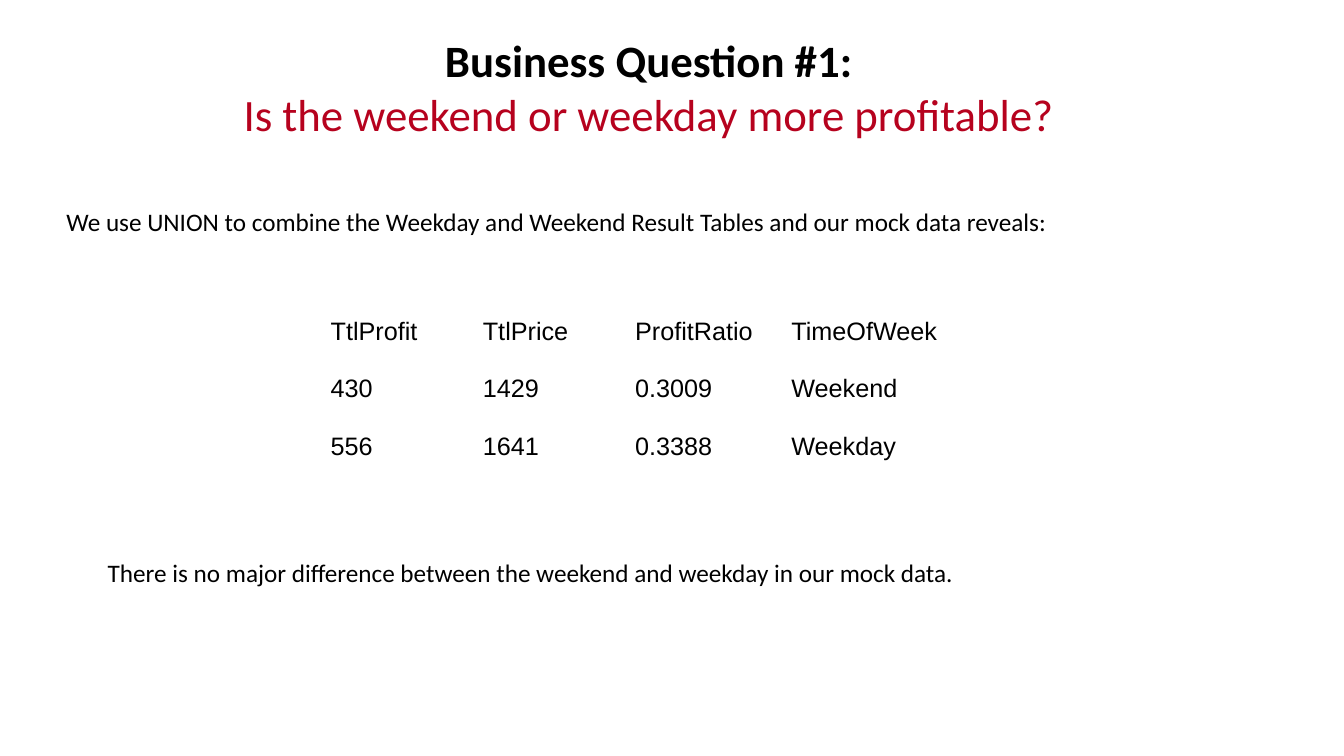
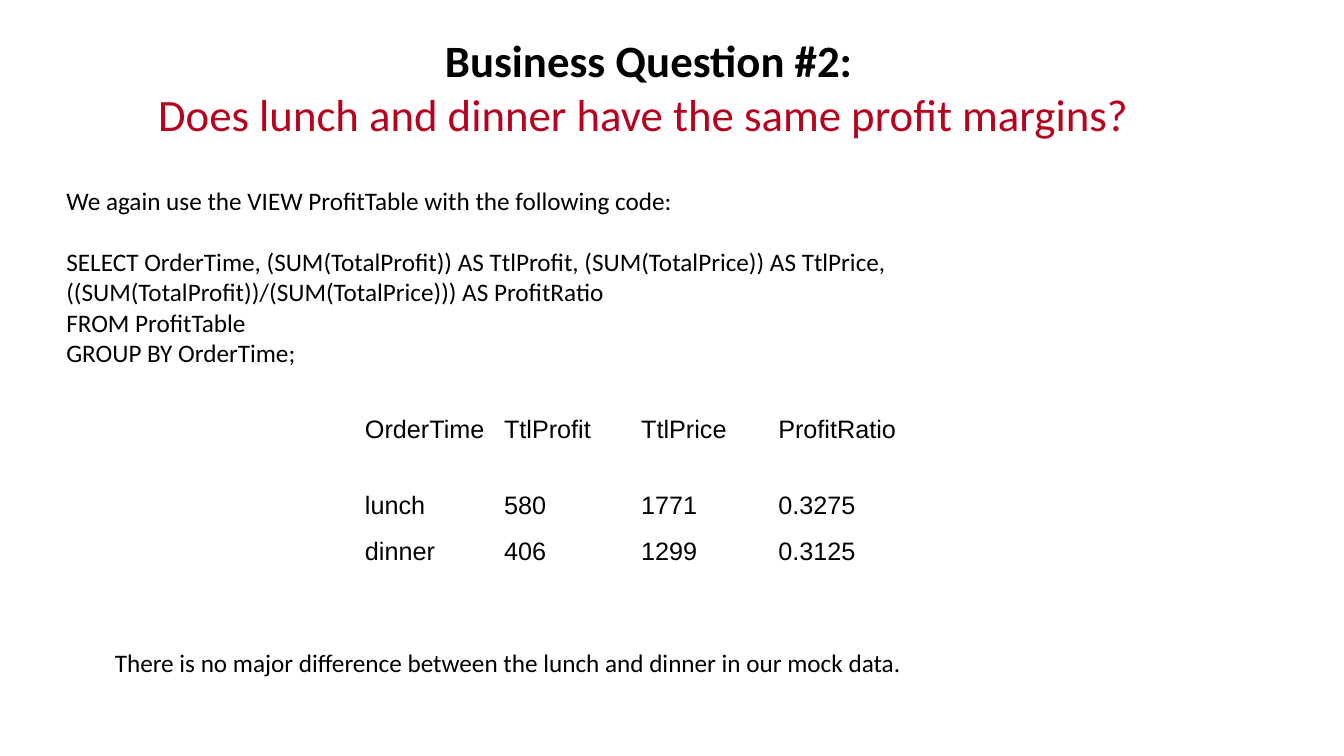
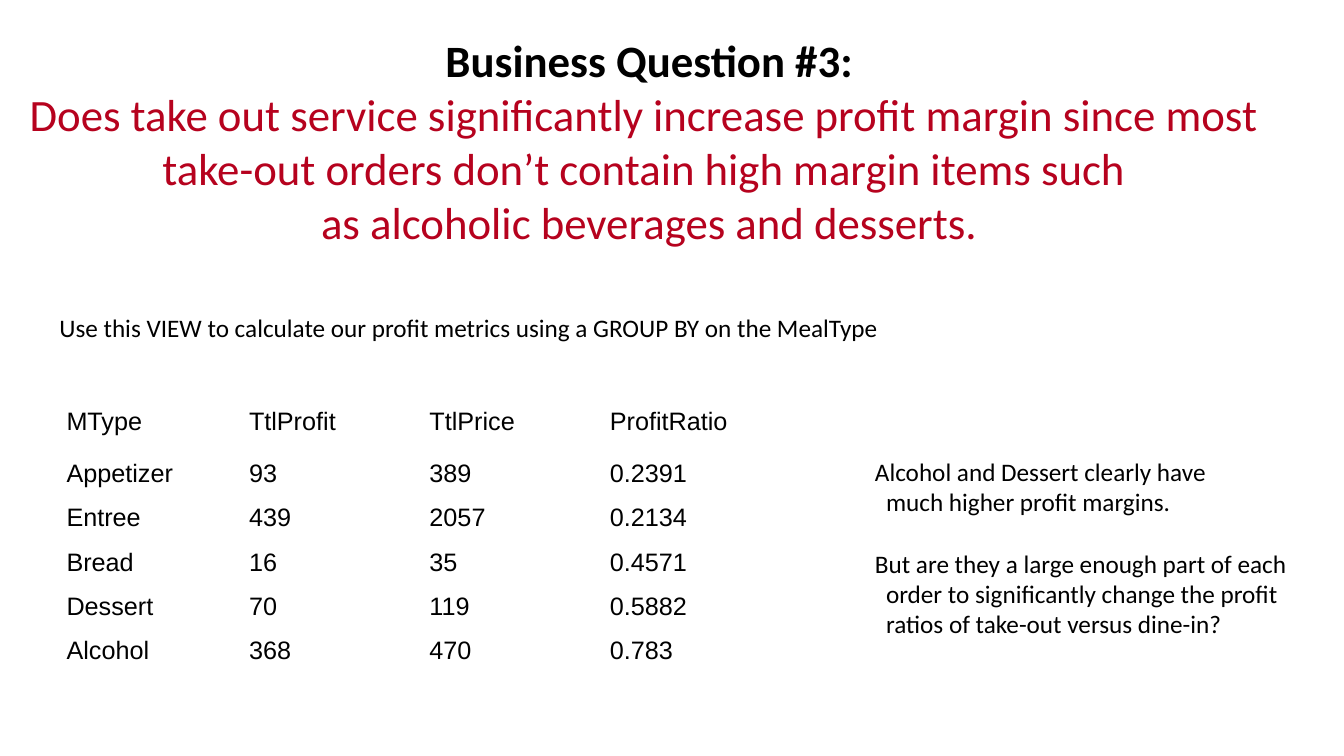
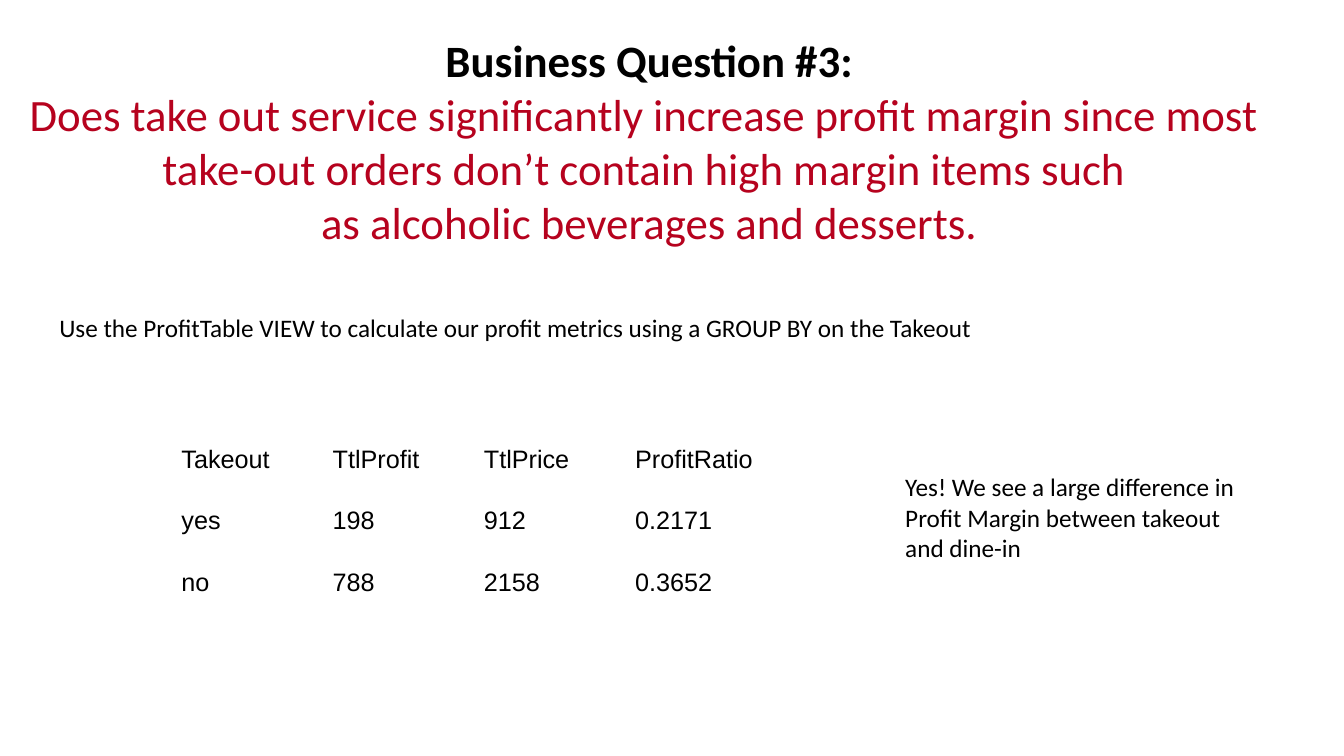
"""Build four business question slides, each with a title, notes and a result table."""
from pptx import Presentation
from pptx.dml.color import RGBColor
from pptx.enum.text import MSO_AUTO_SIZE, PP_ALIGN
from pptx.util import Emu, Pt

LEFT, CENTER = PP_ALIGN.LEFT, PP_ALIGN.CENTER
FIT_SHAPE = MSO_AUTO_SIZE.SHAPE_TO_FIT_TEXT
EMU_PER_PX = 9144
SLIDE_SIZE = (1333, 750)
COLORS = {"text": "000000", "question": "B6021E"}
TEXT_FONT, TABLE_FONT = "Calibri", "Arial"
TITLE_SIZE, BODY_SIZE = 32, 18
SECTION_GAP = 22
HANGING_INDENT = 11
CELL_MARGIN = 7

TAKEOUT_TITLE = {
    "box": (13, 28, 1262, 226),
    "number": 3,
    "question": [
        "Does take out service significantly increase profit margin since most ",
        "take-out orders don’t contain high margin items such ",
        "as alcoholic beverages and desserts.",
    ],
}

SLIDES = [
    {
        "title": {
            "box": (228, 28, 831, 172),
            "number": 1,
            "question": ["Is the weekend or weekday more profitable?"],
        },
        "notes": [
            {"box": (56, 200, 997, 71), "sections": [[
                "We use UNION to combine the Weekday and Weekend Result Tables and our mock data reveals:"]]},
            {"box": (97, 548, 870, 40), "sections": [[
                "There is no major difference between the weekend and weekday in our mock data."]]},
        ],
        "table": {
            "origin": (321, 308),
            "columns": [151, 151, 155, 170],
            "heights": [57, 57, 57],
            "rows": [
                ("TtlProfit", "TtlPrice", "ProfitRatio", "TimeOfWeek"),
                ("430", "1429", "0.3009", "Weekend"),
                ("556", "1641", "0.3388", "Weekday"),
            ],
        },
    },
    {
        "title": {
            "box": (147, 28, 993, 172),
            "number": 2,
            "question": ["Does lunch and dinner have the same profit margins?"],
            "align": LEFT,
        },
        "notes": [
            {"box": (56, 179, 847, 193), "sections": [
                ["We again use the VIEW ProfitTable with the following code:"],
                [
                    "SELECT OrderTime, (SUM(TotalProfit)) AS TtlProfit, (SUM(TotalPrice)) AS TtlPrice,",
                    "((SUM(TotalProfit))/(SUM(TotalPrice))) AS ProfitRatio",
                    "FROM ProfitTable",
                    "GROUP BY OrderTime;",
                ],
            ]},
            {"box": (104, 637, 810, 40), "sections": [[
                "There is no major difference between the lunch and dinner in our mock data."]]},
        ],
        "table": {
            "origin": (355, 405),
            "columns": [138, 136, 136, 138],
            "heights": [76, 45, 45],
            "rows": [
                ("OrderTime", "TtlProfit", "TtlPrice", "ProfitRatio"),
                ("lunch", "580", "1771", "0.3275"),
                ("dinner", "406", "1299", "0.3125"),
            ],
        },
    },
    {
        "title": TAKEOUT_TITLE,
        "notes": [
            {"box": (49, 305, 841, 40), "sections": [[
                "Use this VIEW to calculate our profit metrics using a GROUP BY on the MealType"]]},
            {"box": (858, 448, 434, 192), "hanging": True, "sections": [
                ["Alcohol and Dessert clearly have", "much higher profit margins."],
                [
                    "But are they a large enough part of each",
                    "order to significantly change the profit",
                    "ratios of take-out versus dine-in?",
                ],
            ]},
        ],
        "table": {
            "origin": (59, 397),
            "columns": [181, 179, 179, 183],
            "heights": [52] + [44] * 5,
            "rows": [
                ("MType", "TtlProfit", "TtlPrice", "ProfitRatio"),
                ("Appetizer", "93", "389", "0.2391"),
                ("Entree", "439", "2057", "0.2134"),
                ("Bread", "16", "35", "0.4571"),
                ("Dessert", "70", "119", "0.5882"),
                ("Alcohol", "368", "470", "0.783"),
            ],
        },
    },
    {
        "title": TAKEOUT_TITLE,
        "notes": [
            {"box": (49, 305, 927, 40), "sections": [[
                "Use the ProfitTable VIEW to calculate our profit metrics using a GROUP BY on the Takeout"]]},
            {"box": (888, 463, 351, 101), "sections": [[
                "Yes! We see a large difference in",
                "Profit Margin between takeout",
                "and dine-in",
            ]]},
        ],
        "table": {
            "origin": (173, 435),
            "columns": [150, 150, 150, 153],
            "heights": [61, 61, 61],
            "rows": [
                ("Takeout", "TtlProfit", "TtlPrice", "ProfitRatio"),
                ("yes", "198", "912", "0.2171"),
                ("no", "788", "2158", "0.3652"),
            ],
        },
    },
]


def px(value):
    return Emu(value * EMU_PER_PX)


def style_runs(paragraph, font_name, size, color="text", bold=False):
    for run in paragraph.runs:
        run.font.name = font_name
        run.font.size = Pt(size)
        run.font.bold = bold
        run.font.color.rgb = RGBColor.from_string(COLORS[color])


def add_text_frame(slide, box, lines):
    text_frame = slide.shapes.add_textbox(*map(px, box)).text_frame
    text_frame.word_wrap = False
    text_frame.auto_size = FIT_SHAPE
    text_frame.text = "\n".join(lines)
    return text_frame


def add_title(slide, title):
    lines = [f"Business Question #{title['number']}:"] + title["question"]
    heading, *questions = add_text_frame(slide, title["box"], lines).paragraphs
    heading.alignment = CENTER
    style_runs(heading, TEXT_FONT, TITLE_SIZE, bold=True)
    for paragraph in questions:
        paragraph.alignment = title.get("align", CENTER)
        style_runs(paragraph, TEXT_FONT, TITLE_SIZE, "question")


def add_note(slide, note):
    lines = [(line, index) for section in note["sections"] for index, line in enumerate(section)]
    text_frame = add_text_frame(slide, note["box"], [line for line, _ in lines])
    for position, (paragraph, (_, index)) in enumerate(zip(text_frame.paragraphs, lines)):
        if position and index == 0:
            paragraph.space_before = Pt(SECTION_GAP)
        if index and note.get("hanging"):
            paragraph._p.get_or_add_pPr().set("marL", str(px(HANGING_INDENT)))
        style_runs(paragraph, TEXT_FONT, BODY_SIZE)


def add_result_table(slide, content):
    columns, heights, rows = content["columns"], content["heights"], content["rows"]
    size = (sum(columns), sum(heights))
    table = slide.shapes.add_table(
        len(rows), len(columns), *map(px, content["origin"] + size)).table
    table.first_row = table.horz_banding = False
    for column, width in zip(table.columns, columns):
        column.width = px(width)
    for row, height, values in zip(table.rows, heights, rows):
        row.height = px(height)
        for cell, value in zip(row.cells, values):
            cell.fill.background()
            cell.margin_left = cell.margin_right = px(CELL_MARGIN)
            cell.margin_top = cell.margin_bottom = px(CELL_MARGIN)
            cell.text_frame.text = value
            style_runs(cell.text_frame.paragraphs[0], TABLE_FONT, BODY_SIZE)


def main():
    presentation = Presentation()
    presentation.slide_width, presentation.slide_height = map(px, SLIDE_SIZE)
    blank_layout = presentation.slide_layouts[6]
    for content in SLIDES:
        slide = presentation.slides.add_slide(blank_layout)
        add_title(slide, content["title"])
        introduction, conclusion = content["notes"]
        add_note(slide, introduction)
        add_result_table(slide, content["table"])
        add_note(slide, conclusion)
    presentation.save("out.pptx")


if __name__ == "__main__":
    main()
